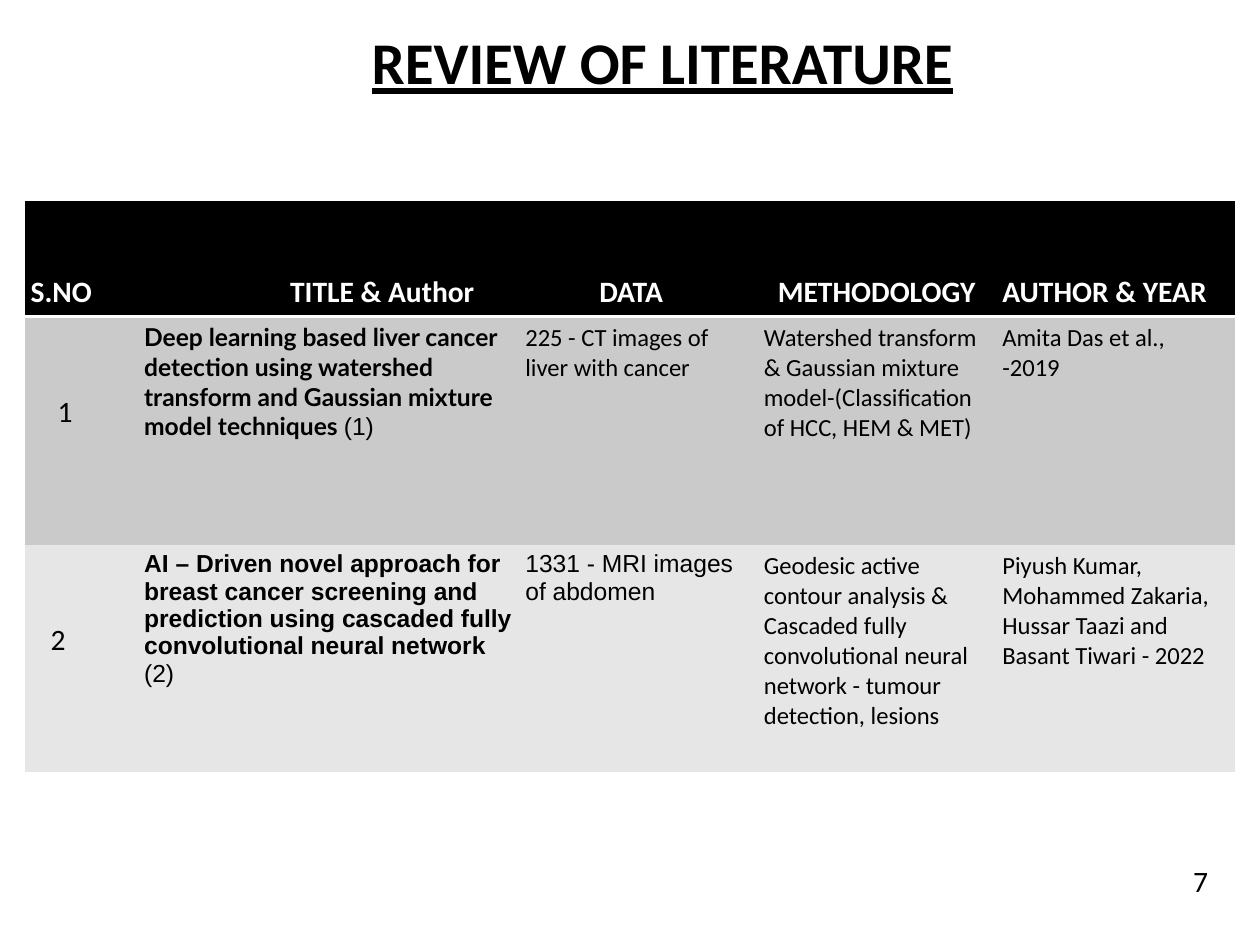
"""Build the review of literature slide with its table of studies."""
from lxml import etree
from pptx import Presentation
from pptx import util as u
from pptx.dml.color import RGBColor
from pptx.enum import text
from pptx.oxml import parse_xml
from pptx.oxml.ns import nsdecls, qn

BLACK = RGBColor(0x00, 0x00, 0x00)
WHITE = RGBColor(0xFF, 0xFF, 0xFF)
MID_GRAY = RGBColor(0xCA, 0xCA, 0xCA)
PALE_GRAY = RGBColor(0xE6, 0xE6, 0xE6)
NO_STYLE = "{2D5ABB26-0587-4C30-8999-92F81FD0307C}"
INSET = 0.13

TITLE = "REVIEW OF LITERATURE"
PAGE = "7"
HEADERS = [("S.NO", INSET), ("TITLE & Author", 3.27), ("DATA", 1.72),
           ("METHODOLOGY", 0.43), ("AUTHOR & YEAR", INSET)]
STUDIES = [
    {"number": "1", "indent": 0.71, "fill": MID_GRAY,
     "title": "Deep learning based liver cancer detection using watershed "
              "transform and Gaussian mixture model techniques ",
     "title_font": "Lato", "reference": "(1)",
     "data": "225 - CT images of liver with cancer", "data_font": "Calibri",
     "method": "Watershed transform & Gaussian mixture model-(Classification "
               "of HCC, HEM & MET)",
     "authors": ["Amita Das et al.,", "-2019"]},
    {"number": "2", "indent": 0.56, "fill": PALE_GRAY,
     "title": "AI – Driven novel approach for breast cancer screening and "
              "prediction using cascaded fully convolutional neural network ",
     "title_font": "Arial", "reference": "(2)",
     "data": "1331 - MRI images of abdomen", "data_font": "Arial",
     "method": "Geodesic active contour analysis & Cascaded fully "
               "convolutional neural network - tumour detection, lesions",
     "authors": ["Piyush Kumar, Mohammed Zakaria, Hussar Taazi and Basant Tiwari - 2022"]},
]
COLUMNS = [2.44, 8.2, 5.13, 5.13, 5.13]
ROWS = [2.49, 4.9, 4.9]


def add_run(p, words, size=15, font="Calibri", bold=False, color=BLACK):
    r = p.add_run()
    r.text = words
    r.font.size = u.Pt(size)
    r.font.name = font
    r.font.bold = bold
    r.font.color.rgb = color
    return r


def set_insets(box, left=INSET, top=INSET):
    box.margin_left, box.margin_top = u.Cm(left), u.Cm(top)
    box.margin_right = box.margin_bottom = u.Cm(INSET)


def style_cell(cell, fill, left=INSET, top=INSET):
    cell.fill.solid()
    cell.fill.fore_color.rgb = fill
    set_insets(cell, left, top)
    return cell.text_frame.paragraphs[0]


def add_bottom_border(cell):
    line = parse_xml(f'<a:lnB {nsdecls("a")} w="{u.Pt(2)}"><a:solidFill>'
                     f'<a:srgbClr val="{WHITE}"/></a:solidFill></a:lnB>')
    cell._tc.get_or_add_tcPr().insert(0, line)


def add_title(s):
    sp = s.shapes.title
    sp.left, sp.top, sp.width, sp.height = u.Cm(0.13), u.Cm(-0.36), u.Cm(26.85), u.Cm(2.57)
    tf = sp.text_frame
    tf.word_wrap = True
    tf.auto_size = text.MSO_AUTO_SIZE.NONE
    tf.vertical_anchor = text.MSO_ANCHOR.BOTTOM
    set_insets(tf, left=1.52)
    p = tf.paragraphs[0]
    p.alignment = text.PP_ALIGN.CENTER
    add_run(p, TITLE, 36, bold=True).font.underline = True


def add_studies(s):
    frame = s.shapes.add_table(len(ROWS), len(COLUMNS), u.Cm(0.53), u.Cm(4.32),
                               u.Cm(sum(COLUMNS)), u.Cm(sum(ROWS)))
    table = frame.table
    table._tbl.tblPr.find(qn("a:tableStyleId")).text = NO_STYLE
    for column, width in zip(table.columns, COLUMNS):
        column.width = u.Cm(width)
    for row, height in zip(table.rows, ROWS):
        row.height = u.Cm(height)

    for cell, (label, indent) in zip(table.rows[0].cells, HEADERS):
        add_run(style_cell(cell, BLACK, indent), label, 18, bold=True, color=WHITE)
        cell.vertical_anchor = text.MSO_ANCHOR.BOTTOM
        add_bottom_border(cell)

    for i, study in enumerate(STUDIES, 1):
        number, title, data, method, authors = table.rows[i].cells
        fill = study["fill"]
        add_run(style_cell(number, fill, study["indent"], 1.68), study["number"], 18)
        p = style_cell(title, fill)
        add_run(p, study["title"], font=study["title_font"], bold=True)
        add_run(p, study["reference"], font="Arial")
        add_run(style_cell(data, fill), study["data"], font=study["data_font"])
        add_run(style_cell(method, fill), study["method"])
        p = style_cell(authors, fill)
        for j, line in enumerate(study["authors"]):
            if j:
                p.add_line_break()
            add_run(p, line)


def add_page_number(s):
    tf = s.shapes.add_textbox(u.Cm(25.53), u.Cm(18.42), u.Cm(1.4), u.Cm(0.91)).text_frame
    tf.word_wrap = True
    set_insets(tf)
    add_run(tf.paragraphs[0], PAGE, 18)


def main():
    prs = Presentation()
    prs.slide_width, prs.slide_height = u.Cm(27.1), u.Cm(20.32)
    s = prs.slides.add_slide(prs.slide_layouts[5])
    add_title(s)
    add_studies(s)
    add_page_number(s)
    prs.save("out.pptx")


if __name__ == "__main__":
    main()
